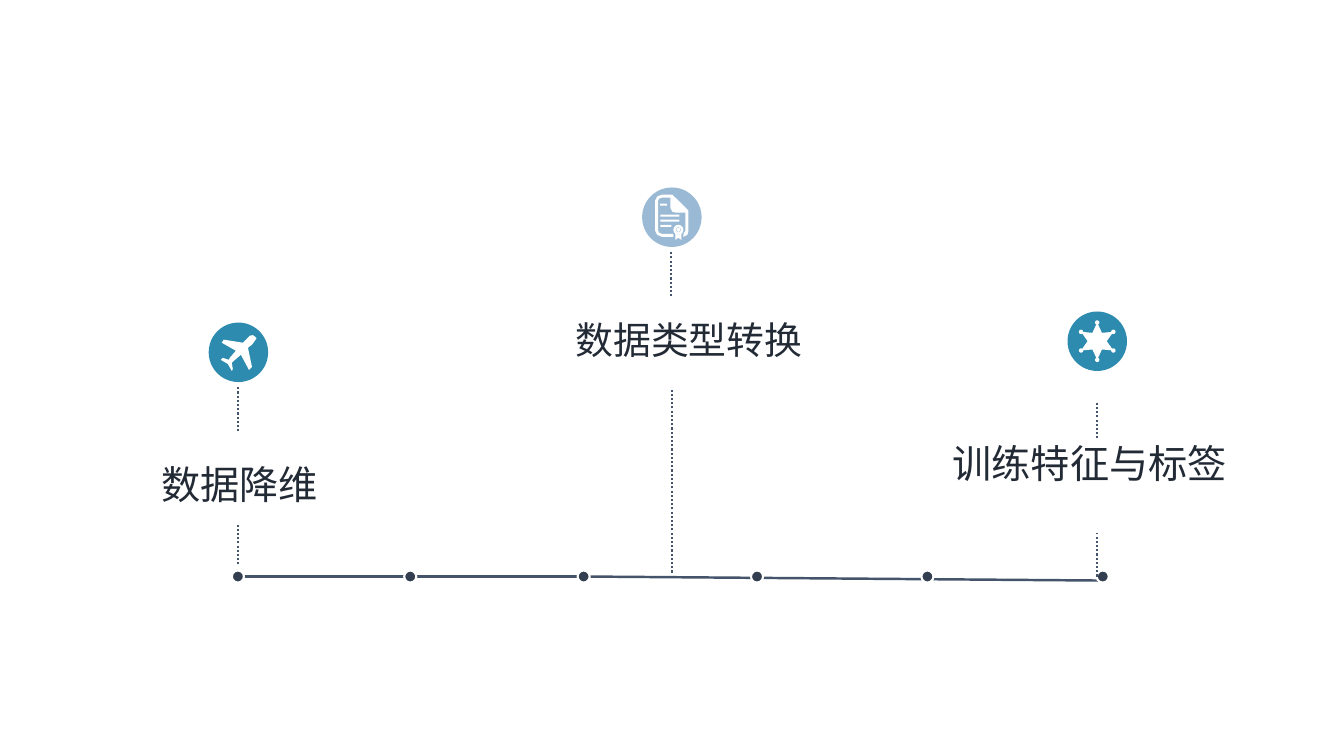
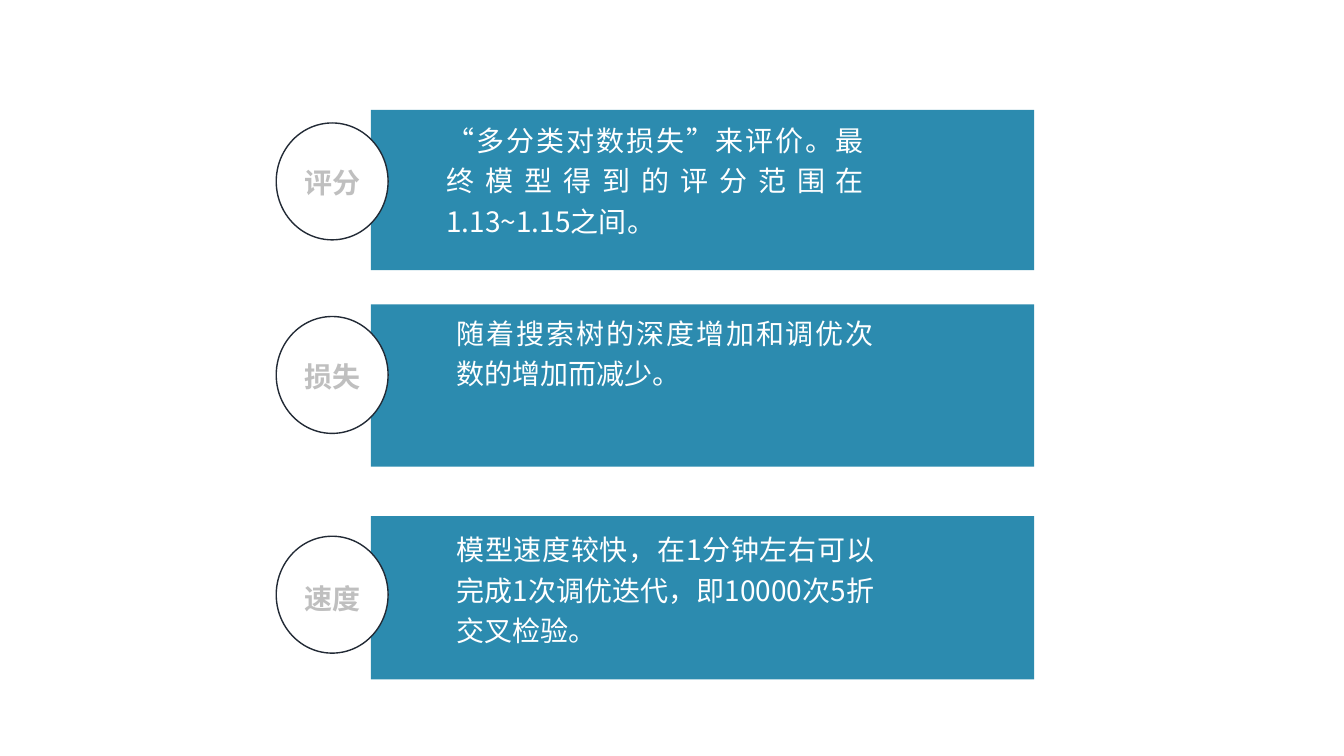
from dataclasses import dataclass
from math import cos, pi, sin

from lxml import etree
from pptx import Presentation
from pptx.dml.color import RGBColor
from pptx.enum.dml import MSO_LINE
from pptx.enum.lang import MSO_LANGUAGE_ID
from pptx.enum.shapes import MSO_CONNECTOR, MSO_SHAPE
from pptx.enum.text import MSO_AUTO_SIZE, PP_ALIGN
from pptx.oxml.ns import qn
from pptx.util import Inches, Pt

CENTER, JUSTIFY = PP_ALIGN.CENTER, PP_ALIGN.JUSTIFY
OVAL, RECTANGLE, DONUT = MSO_SHAPE.OVAL, MSO_SHAPE.RECTANGLE, MSO_SHAPE.DONUT
STRAIGHT, DOTTED = MSO_CONNECTOR.STRAIGHT, MSO_LINE.ROUND_DOT
CHINESE = MSO_LANGUAGE_ID.SIMPLIFIED_CHINESE

# The slide is a grid of square cells, ten to the inch.
CELL = Inches(0.1)
COLUMNS, ROWS = 133.33, 75


@dataclass(frozen=True)
class Theme:
    font: str = "Noto Sans CJK SC"
    ink: str = "222A35"
    axis: str = "44546A"
    dot: str = "333F50"
    teal: str = "2C8BAF"
    pale: str = "99B9D5"
    white: str = "FFFFFF"
    muted: str = "BFBFBF"
    heading: int = 28
    heading_tight: int = 27
    body: int = 20
    spacing: float = 1.2


THEME = Theme()


@dataclass(frozen=True)
class Box:
    """A rectangle in grid cells."""
    left: float
    top: float
    width: float
    height: float

    def inner(self, left, top, width, height):
        return Box(self.left + left, self.top + top, width, height)

    def emu(self):
        return [round(length * CELL) for length in
                (self.left, self.top, self.width, self.height)]


def color(value):
    return RGBColor.from_string(value)


def paint(shape, fill, line=None, weight=1.0):
    shape.shadow.inherit = False
    shape.fill.solid()
    shape.fill.fore_color.rgb = color(fill)
    if line:
        shape.line.color.rgb = color(line)
        shape.line.width = Pt(weight)
    else:
        shape.line.fill.background()


def add_preset(slide, preset, box, fill, line=None, weight=1.0):
    shape = slide.shapes.add_shape(preset, *box.emu())
    paint(shape, fill, line, weight)
    return shape


def add_line(slide, start, end, weight, dash=None):
    ends = [round(length * CELL) for length in (*start, *end)]
    connector = slide.shapes.add_connector(STRAIGHT, *ends)
    connector.line.color.rgb = color(THEME.axis)
    connector.line.width = Pt(weight)
    if dash:
        connector.line.dash_style = dash
    properties = connector._element.spPr
    etree.SubElement(properties, qn("a:effectLst"))


def add_text(slide, box, text, size, fill, align=CENTER, bold=False,
             spacing=None, grow=False):
    frame = slide.shapes.add_textbox(*box.emu()).text_frame
    frame.word_wrap = True
    if grow:
        frame.auto_size = MSO_AUTO_SIZE.SHAPE_TO_FIT_TEXT
    paragraph = frame.paragraphs[0]
    paragraph.alignment = align
    if spacing:
        paragraph.line_spacing = spacing
    run = paragraph.add_run()
    run.text = text
    font = run.font
    font.name, font.size, font.bold = THEME.font, Pt(size), bold
    font.color.rgb = color(fill)
    font.language_id = CHINESE
    east_asian = etree.SubElement(run._r.get_or_add_rPr(), qn("a:ea"))
    east_asian.set("typeface", THEME.font)


# Icons are drawn on a disc that is ICON_UNITS wide.
DISC = 5.9
ICON_UNITS = 59
PLANE = [(46, 14), (44, 12.5), (41, 13), (37, 17), (34, 20), (15, 17),
         (13, 20), (27, 28), (21, 35), (20, 37), (14, 35), (12, 37),
         (19, 41), (23, 48), (24, 46), (23, 40), (25, 38), (32, 32),
         (40, 47), (43, 44), (39, 25), (43, 22), (46, 18), (47.5, 15.5)]
PAGE = [(30, 7), (20, 7), (15, 9), (13, 13), (13, 43), (15, 47), (20, 49),
        (31, 49), (31, 46), (20, 46), (17, 45), (16, 43), (16, 13), (17, 11),
        (20, 10), (28, 10), (28, 20), (30, 24), (34, 25), (43, 25), (43, 43),
        (41, 46), (41, 49), (45, 47), (46, 43), (46, 23)]
RIBBON = [(33, 46), (33, 52), (36, 50), (39, 52), (39, 46), (36, 47)]
PAGE_LINES = [(16, 7), (27, 19), (32, 19), (37, 11)]


def add_outline(slide, disc, points):
    unit = disc.width * CELL / ICON_UNITS
    scaled = [(round(x * unit), round(y * unit)) for x, y in points]
    builder = slide.shapes.build_freeform(*scaled[0])
    builder.add_line_segments(scaled[1:], close=True)
    left, top, _, _ = disc.emu()
    paint(builder.convert_to_shape(left, top), THEME.white)


def add_icon_part(slide, disc, preset, *units):
    """Place a white preset shape given in icon units."""
    scale = disc.width / ICON_UNITS
    box = disc.inner(*(unit * scale for unit in units))
    return add_preset(slide, preset, box, THEME.white)


def draw_plane(slide, disc):
    add_outline(slide, disc, PLANE)


def draw_certificate(slide, disc):
    for top, width in PAGE_LINES:
        add_icon_part(slide, disc, RECTANGLE, 18, top, width, 2)
    add_outline(slide, disc, PAGE)
    add_outline(slide, disc, RIBBON)
    add_icon_part(slide, disc, OVAL, 34, 40, 4, 4)
    seal = add_icon_part(slide, disc, DONUT, 31, 37, 10, 10)
    seal.adjustments[0] = 0.25


def draw_badge(slide, disc):
    center, tip, notch, knob = ICON_UNITS / 2, 18.5, 9.5, 2.2

    def polar(radius, step):
        angle = step * pi / 6
        return center + radius * sin(angle), center - radius * cos(angle)

    add_outline(slide, disc, [polar(notch if step % 2 else tip, step)
                              for step in range(12)])
    for step in range(0, 12, 2):
        x, y = polar(tip, step)
        add_icon_part(slide, disc, OVAL, x - knob, y - knob,
                      2 * knob, 2 * knob)


@dataclass(frozen=True)
class Stop:
    """One step above the time line; stems are (column, top, bottom)."""
    text: str
    size: int
    label: Box
    disc: Box
    fill: str
    draw_icon: object
    stems: tuple


AXIS_ROW = 57.2
AXIS_LINES = [((24, 0), (40.1, 0)), ((41.1, 0), (57.2, 0)),
              ((58.4, 0), (109.8, 0.4))]
DOT = 1.2
DOT_COLUMNS = [23, 40.1, 57.3, 74.5, 91.4, 108.8]
STOPS = [
    Stop("数据降维", THEME.heading, Box(13.7, 45.2, 20.1, 8.9),
         Box(20.7, 32, DISC, DISC), THEME.teal, draw_plane,
         ((23.6, 52, 56), (23.6, 38.4, 42.8))),
    Stop("数据类型转换", THEME.heading_tight, Box(53.5, 30.9, 29.7, 9.9),
         Box(63.7, 18.6, DISC, DISC), THEME.pale, draw_certificate,
         ((66.7, 38.7, 56.8), (66.6, 25, 29.4))),
    Stop("训练特征与标签", THEME.heading, Box(93.4, 43.1, 29.4, 8.9),
         Box(105.9, 30.9, DISC, DISC), THEME.teal, draw_badge,
         ((108.8, 52.9, 57.2), (108.8, 39.9, 43.5))),
]


def add_axis(slide, row):
    for (start, rise), (end, fall) in AXIS_LINES:
        add_line(slide, (start, row + rise), (end, row + fall), 1.75)
    for column in DOT_COLUMNS:
        add_preset(slide, OVAL, Box(column, row - DOT / 2, DOT, DOT),
                   THEME.dot, THEME.white, 1.5)


def add_stop(slide, stop):
    for column, top, bottom in stop.stems:
        add_line(slide, (column, bottom), (column, top), 1.5, DOTTED)
    add_preset(slide, OVAL, stop.disc, stop.fill)
    stop.draw_icon(slide, stop.disc)
    add_text(slide, stop.label, stop.text, stop.size, THEME.ink)


def build_timeline(slide):
    add_axis(slide, AXIS_ROW)
    for stop in STOPS:
        add_stop(slide, stop)


@dataclass(frozen=True)
class Finding:
    """A bar with a round label; offsets are from the bar's corner."""
    label: str
    text: str
    bar: Box
    circle_top: float
    label_top: float
    text_left: float
    text_top: float
    text_height: float


FINDINGS = [
    Finding("评分", "“多分类对数损失”来评价。最终模型得到的评分范围在1.13~1.15之间。",
            Box(36.8, 10.9, 65.8, 15.9), 1.3, 4.4, 6.5, 0.2, 13.1),
    Finding("损失", "随着搜索树的深度增加和调优次数的增加而减少。",
            Box(36.8, 30.2, 65.8, 16.1), 1.2, 4.3, 7.5, 0, 9.1),
    Finding("速度", "模型速度较快，在1分钟左右可以完成1次调优迭代，即10000次5折交叉检验。",
            Box(36.8, 51.2, 65.8, 16.2), 2, 5.3, 7.5, 0.5, 13.1),
]


def add_finding(slide, finding):
    bar = finding.bar
    add_preset(slide, RECTANGLE, bar, THEME.teal)
    add_preset(slide, OVAL, bar.inner(-9.4, finding.circle_top, 11.1, 11.6),
               THEME.white, THEME.ink, 1)
    add_text(slide, bar.inner(-7.7, finding.label_top, 7.8, 5),
             finding.label, THEME.body, THEME.muted, bold=True,
             spacing=THEME.spacing, grow=True)
    add_text(slide, bar.inner(finding.text_left, finding.text_top, 43.4,
                              finding.text_height),
             finding.text, THEME.body, THEME.white, JUSTIFY,
             spacing=THEME.spacing, grow=True)


def build_findings(slide):
    for finding in FINDINGS:
        add_finding(slide, finding)


def main():
    presentation = Presentation()
    presentation.slide_width = round(COLUMNS * CELL)
    presentation.slide_height = ROWS * CELL
    blank = presentation.slide_layouts[6]
    for build in (build_timeline, build_findings):
        build(presentation.slides.add_slide(blank))
    presentation.save("out.pptx")


if __name__ == "__main__":
    main()
